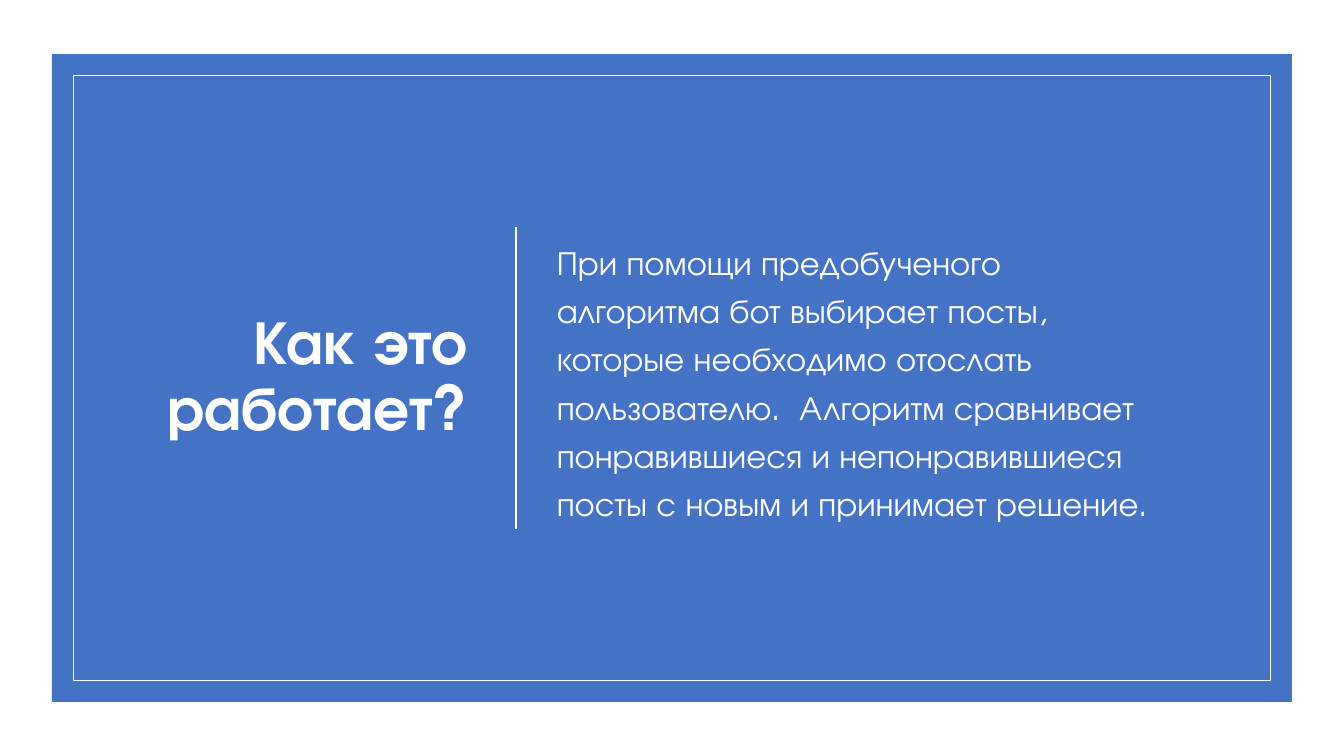
import pptx
import pptx.dml.color
import pptx.enum.shapes
import pptx.enum.text
import pptx.util
from lxml import etree

EMU_PER_PIXEL = 914400 / 100.8
SLIDE_WIDTH, SLIDE_HEIGHT = 1344, 756
WHITE, BLUE = "FFFFFF", "4472C4"
FONT = "TeX Gyre Adventor"
HEADING = "Как это работает?"
EXPLANATION = (
    "При помощи предобученого алгоритма бот выбирает посты, которые "
    "необходимо отослать пользователю.\u00a0 Алгоритм сравнивает понравившиеся "
    "и непонравившиеся посты с новым и принимает решение."
)


def px(*lengths):
    """Turn pixel lengths into a list of EMU lengths."""
    return [pptx.util.Emu(round(length * EMU_PER_PIXEL)) for length in lengths]


def rgb(code):
    """Turn a hex string into a colour."""
    return pptx.dml.color.RGBColor.from_string(code)


def set_values(target, values):
    """Set each attribute of target named in values."""
    for attribute, value in values.items():
        setattr(target, attribute, value)


def draw_line(line, colour, points):
    """Give a line or an outline its colour and width."""
    line.color.rgb = rgb(colour)
    line.width = pptx.util.Pt(points)


def add_panel(slide, box, fill=None, outline=None):
    """Add a rectangle with an optional fill and a thin outline."""
    panel = slide.shapes.add_shape(
        pptx.enum.shapes.MSO_SHAPE.RECTANGLE, *px(*box))
    panel.shadow.inherit = False
    if fill:
        panel.fill.solid()
        panel.fill.fore_color.rgb = rgb(fill)
    else:
        panel.fill.background()
    if outline:
        draw_line(panel.line, outline, 0.5)
    else:
        panel.line.fill.background()


def add_divider(slide, x, top, bottom):
    """Add the vertical line between heading and explanation."""
    divider = slide.shapes.add_connector(
        pptx.enum.shapes.MSO_CONNECTOR.STRAIGHT, *px(x, top, x, bottom))
    draw_line(divider.line, WHITE, 1.25)
    etree.SubElement(divider.element.spPr, pptx.oxml.ns.qn("a:effectLst"))


def add_text(slide, box, wording, font_format, paragraph_format):
    """Add a wrapped, vertically centred white text."""
    frame = slide.shapes.add_textbox(*px(*box)).text_frame
    set_values(frame, {
        "word_wrap": True,
        "vertical_anchor": pptx.enum.text.MSO_ANCHOR.MIDDLE,
    })
    paragraph = frame.paragraphs[0]
    set_values(paragraph, paragraph_format)
    run = paragraph.add_run()
    run.text = wording
    set_values(run.font, {"name": FONT, **font_format})
    run.font.color.rgb = rgb(WHITE)


def main():
    """Build the slide and save it."""
    deck = pptx.Presentation()
    width, height = px(SLIDE_WIDTH, SLIDE_HEIGHT)
    set_values(deck, {"slide_width": width, "slide_height": height})
    slide = deck.slides.add_slide(deck.slide_layouts[6])

    add_panel(slide, (0, 0, SLIDE_WIDTH, SLIDE_HEIGHT), fill=WHITE)
    add_panel(slide, (52, 54, 1240, 648), fill=BLUE)
    add_divider(slide, 516, 227, 529)
    add_panel(slide, (73, 75, 1197, 605), outline=WHITE)

    align = pptx.enum.text.PP_ALIGN
    add_text(slide, (96, 110, 382, 535), HEADING,
             {"size": pptx.util.Pt(44), "bold": True},
             {"alignment": align.RIGHT, "line_spacing": 0.9})
    add_text(slide, (547, 90, 613, 577), EXPLANATION,
             {"size": pptx.util.Pt(24)},
             {"alignment": align.LEFT, "line_spacing": 1.2,
              "space_before": pptx.util.Pt(9)})
    deck.save("out.pptx")


main()
